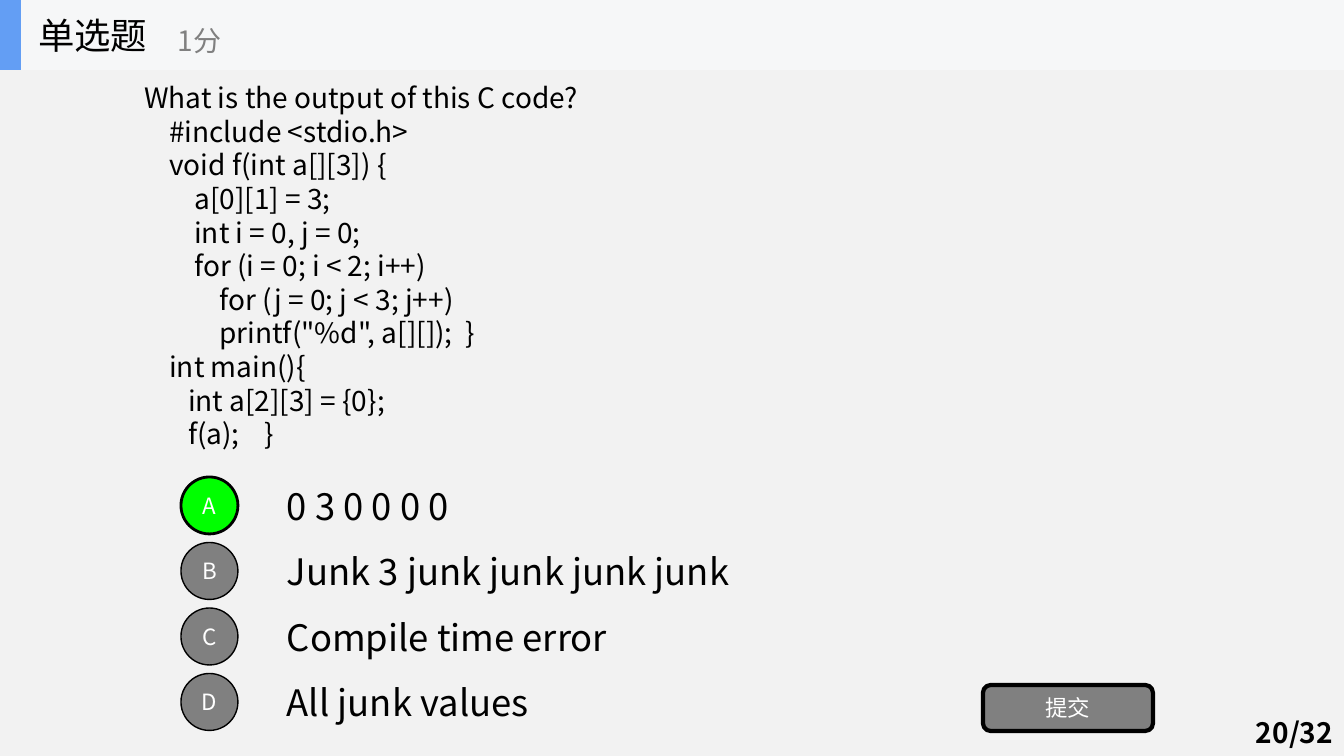
from lxml import etree
from pptx import Presentation, util as u
from pptx.dml.color import RGBColor
from pptx.enum import shapes, text

FONT = "Noto Sans CJK SC"
EMU_PER_PX = 9072
BLACK, WHITE, GRAY = "000000", "FFFFFF", "808080"

BACKGROUND = "F2F2F2"
BANDS = [((0, 0, 1344, 70), "F6F7F8"), ((0, 0, 21, 70), "639EF4")]
TITLE = "单选题"
POINTS = "1分"
PAGE = "20/32"
SUBMIT = "提交"
QUESTION = [
    "What is the output of this C code?",
    "    #include <stdio.h>",
    "    void f(int a[][3]) {",
    "        a[0][1] = 3;",
    "        int i = 0, j = 0;",
    "        for (i = 0; i < 2; i++)",
    "            for (j = 0; j < 3; j++)",
    "            printf(\"%d\", a[][]);  }",
    "    int main(){",
    "       int a[2][3] = {0};",
    "       f(a);    }",
]
OPTIONS = [("A", "0 3 0 0 0 0"), ("B", "Junk 3 junk junk junk junk"),
           ("C", "Compile time error"), ("D", "All junk values")]
CORRECT = "A"
OPTION_TOP, OPTION_STEP = 477, 65.5


def px(*lengths):
    return [u.Emu(round(n * EMU_PER_PX)) for n in lengths]


def rgb(color):
    return RGBColor.from_string(color)


def write(sp, lines, size, color=BLACK, align=text.PP_ALIGN.LEFT, bold=False, spacing=None):
    tf = sp.text_frame
    tf.word_wrap = True
    tf.auto_size = text.MSO_AUTO_SIZE.NONE
    tf.vertical_anchor = text.MSO_ANCHOR.MIDDLE
    for i, line in enumerate(lines):
        p = tf.add_paragraph() if i else tf.paragraphs[0]
        p.text = line
        p.alignment = align
        p.space_before = u.Pt(0)
        p.line_spacing = spacing
        p.font.name, p.font.size, p.font.bold = FONT, u.Pt(size), bold
        p.font.color.rgb = rgb(color)
        for r in p.runs:
            ea = etree.SubElement(r.font._element, "{http://schemas.openxmlformats.org/drawingml/2006/main}ea")
            ea.set("typeface", FONT)


def add_text(s, box, line, size, **style):
    write(s.shapes.add_textbox(*px(*box)), [line], size, **style)


def add_shape(s, kind, box, fill, line_width=0, label=None):
    sp = s.shapes.add_shape(kind, *px(*box))
    sp.shadow.inherit = False
    sp.fill.solid()
    sp.fill.fore_color.rgb = rgb(fill)
    if line_width:
        sp.line.color.rgb = rgb(BLACK)
        sp.line.width = u.Pt(line_width)
    else:
        sp.line.fill.background()
    if label:
        write(sp, [label], 16, WHITE, text.PP_ALIGN.CENTER)
        tf = sp.text_frame
        tf.margin_left = tf.margin_right = tf.margin_top = tf.margin_bottom = 0


def place(sp, box):
    sp.left, sp.top, sp.width, sp.height = px(*box)


def main():
    """Build the quiz slide."""
    prs = Presentation()
    prs.slide_width, prs.slide_height = px(1344, 756)
    s = prs.slides.add_slide(prs.slide_layouts[1])
    s.background.fill.solid()
    s.background.fill.fore_color.rgb = rgb(BACKGROUND)

    kind = shapes.MSO_SHAPE
    for box, fill in BANDS:
        add_shape(s, kind.RECTANGLE, box, fill)

    title, body = s.shapes.title, s.placeholders[1]
    place(title, (28, 0, 210, 70))
    place(body, (134, 74, 629, 383))
    write(title, [TITLE], 26)
    write(body, QUESTION, 20, spacing=u.Pt(24))
    for p in body.text_frame.paragraphs:
        pPr = p._p.get_or_add_pPr()
        pPr.set("marL", "0")
        pPr.set("indent", "0")
        bullet = etree.Element("{http://schemas.openxmlformats.org/drawingml/2006/main}buNone")
        pPr.find("{*}defRPr").addprevious(bullet)
    for sp in (title, body):
        sp.element.getparent().append(sp.element)

    add_text(s, (168, 12, 252, 56), POINTS, 20, color=GRAY)
    for i, (letter, answer) in enumerate(OPTIONS):
        top = OPTION_TOP + i * OPTION_STEP
        right = letter == CORRECT
        add_shape(s, kind.OVAL, (181, top, 57, 57), "00FF00" if right else GRAY,
                  2 if right else 1, letter)
        add_text(s, (277, top + 1, 590, 55), answer, 26)
    add_shape(s, kind.ROUNDED_RECTANGLE, (983, 685, 170, 46), GRAY, 3, SUBMIT)
    add_text(s, (1041, 712, 302, 40), PAGE, 20, align=text.PP_ALIGN.RIGHT, bold=True)
    prs.save("out.pptx")


if __name__ == "__main__":
    main()
